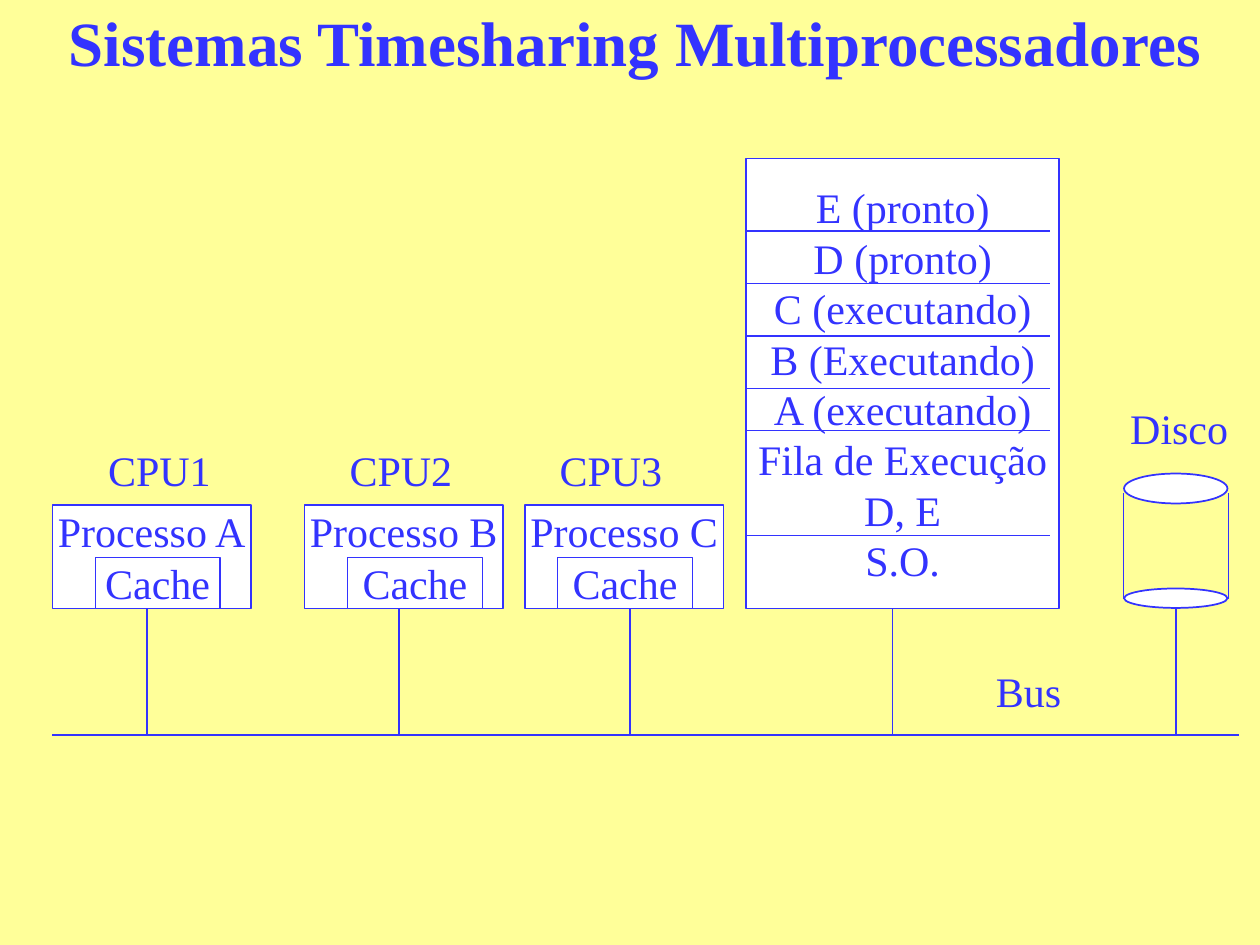
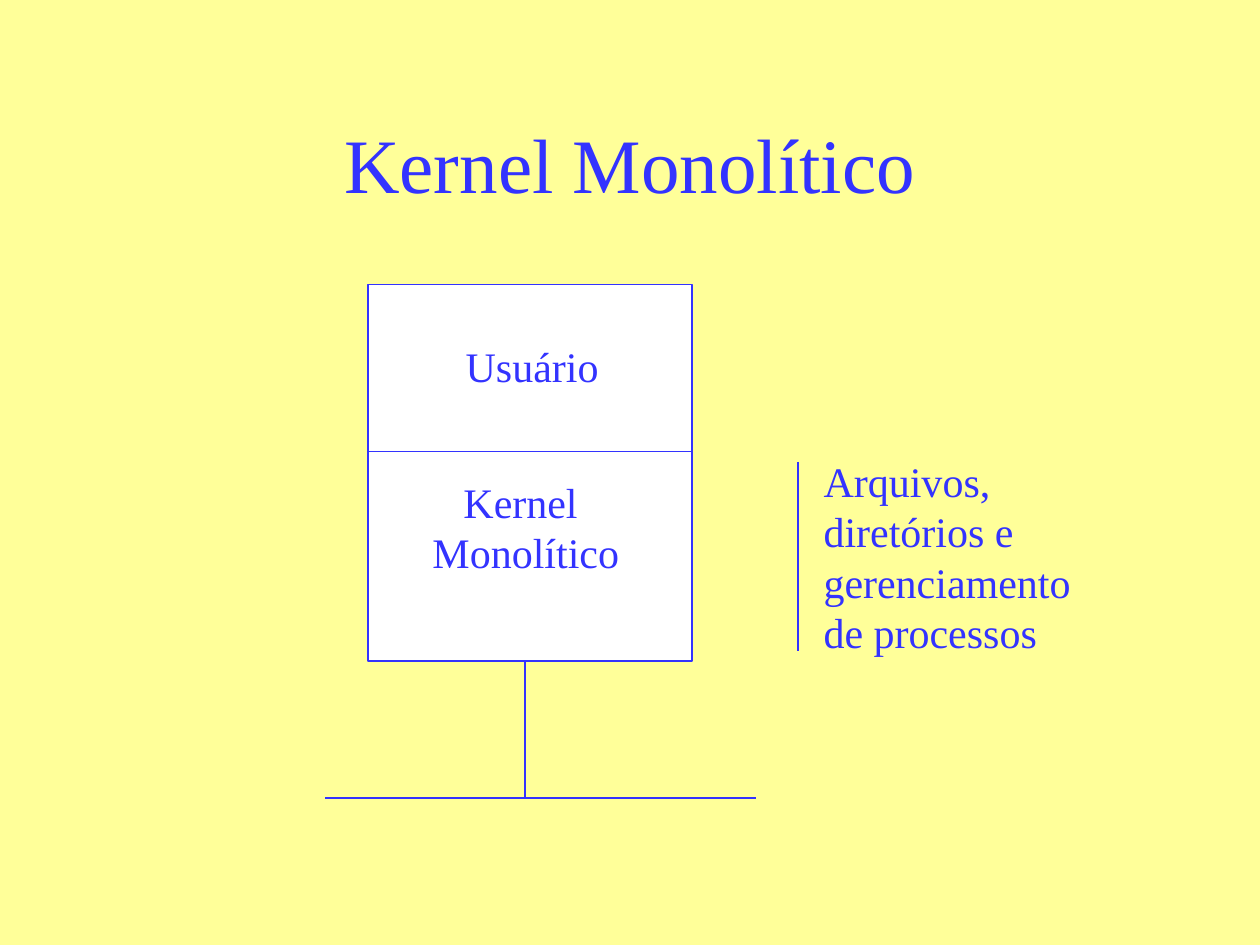
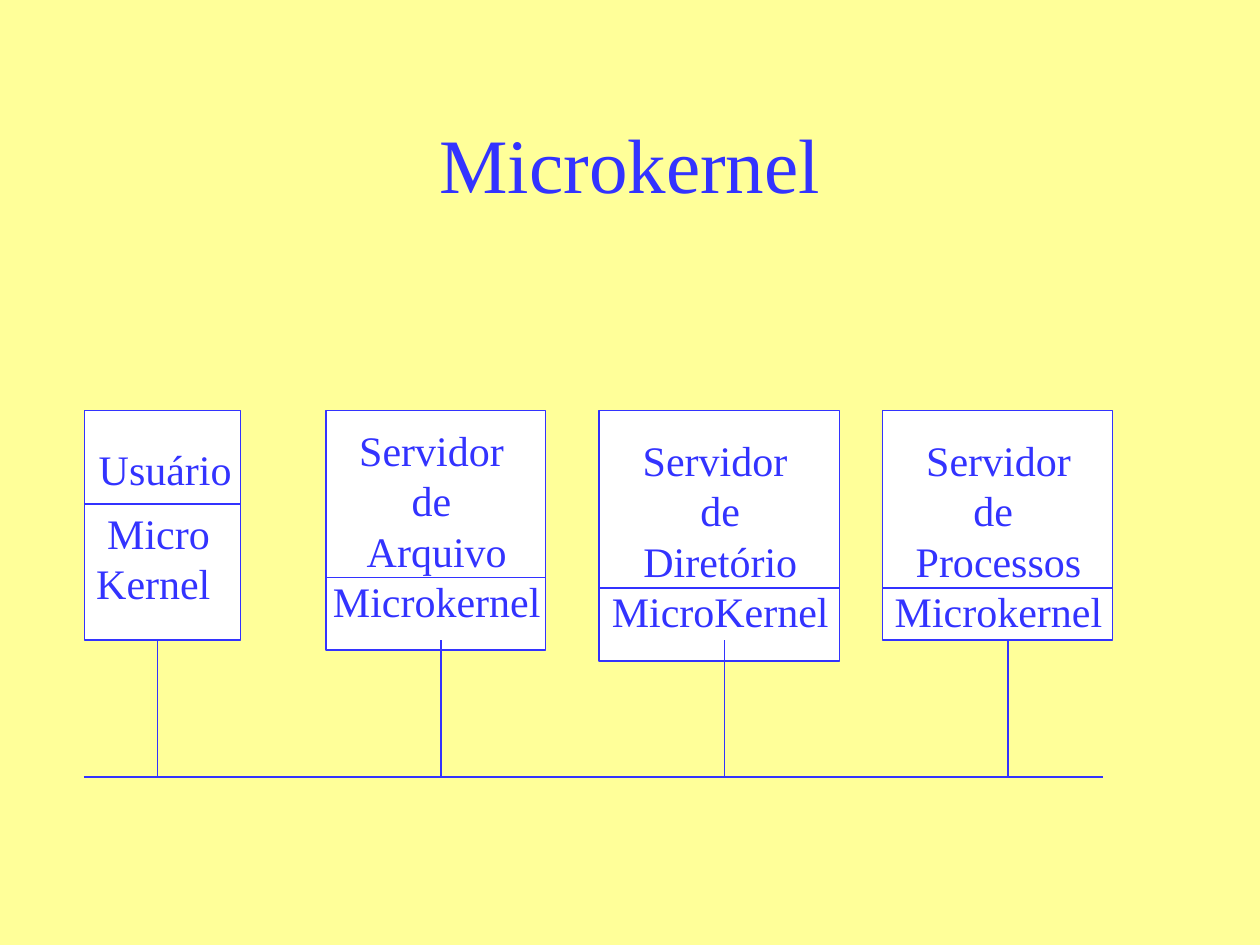
from dataclasses import dataclass

from lxml import etree
from pptx import Presentation
from pptx.dml.color import RGBColor
from pptx.enum.shapes import MSO_CONNECTOR, MSO_SHAPE
from pptx.enum.text import MSO_ANCHOR as ANCHOR, MSO_AUTO_SIZE as FIT, PP_ALIGN as ALIGN
from pptx.oxml.ns import qn
from pptx.util import Inches, Pt


@dataclass(frozen=True)
class Theme:
    paper: RGBColor = RGBColor(0xFF, 0xFF, 0x99)
    panel: RGBColor = RGBColor(0xFF, 0xFF, 0xFF)
    ink: RGBColor = RGBColor(0x33, 0x33, 0xFF)
    font: str = "Times New Roman"
    heading: int = 44
    long_heading: int = 36
    body: int = 24
    stroke: float = 0.99


theme = Theme()
prs = Presentation()
prs.slide_width, prs.slide_height = Inches(10), Inches(7.5)
CELL = prs.slide_width / 120
TITLE = (9, 8, 102, 15)
RECT, OVAL = MSO_SHAPE.RECTANGLE, MSO_SHAPE.OVAL

prs.slide_master.background.fill.solid()
prs.slide_master.background.fill.fore_color.rgb = theme.paper
blank = prs.slide_layouts[6]
timesharing, monolithic, micro = [prs.slides.add_slide(blank) for _ in range(3)]


def block(slide, area, text="", outline=None, size=theme.body, align=ALIGN.CENTER,
          anchor=ANCHOR.TOP, bold=False, wrap=False):
    box = [round(n * CELL) for n in area]
    if outline is None:
        part = slide.shapes.add_textbox(*box)
    else:
        part = slide.shapes.add_shape(outline, *box)
        part.shadow.inherit = False
        part.fill.solid()
        part.fill.fore_color.rgb = theme.panel
        part.line.color.rgb = theme.ink
        part.line.width = Pt(theme.stroke)
    if text:
        frame = part.text_frame
        frame.text = text
        frame.word_wrap = wrap
        frame.vertical_anchor = anchor
        if outline is None and not wrap:
            frame.auto_size = FIT.SHAPE_TO_FIT_TEXT
        for paragraph in frame.paragraphs:
            paragraph.alignment = align
            for run in paragraph.runs:
                run.font.name = theme.font
                run.font.size = Pt(size)
                run.font.bold = bold
                run.font.color.rgb = theme.ink
    return part


def rule(slide, *ends):
    wire = slide.shapes.add_connector(MSO_CONNECTOR.STRAIGHT, *[round(n * CELL) for n in ends])
    wire.line.color.rgb = theme.ink
    wire.line.width = Pt(theme.stroke)
    etree.SubElement(wire._element.spPr, qn("a:effectLst"))


block(timesharing, (5, -0.25, 111, 15), "Sistemas Timesharing Multiprocessadores",
      size=theme.long_heading, bold=True, wrap=True)
cpus = [("A", 5, 9, 9.1, 11.85), ("B", 29, 32, 33.1, 12.85), ("C", 50, 52, 53.1, 12.85)]
for number, (process, left, label_left, cache_left, cache_width) in enumerate(cpus, 1):
    cpu = block(timesharing, (left, 48.1, 18.9, 9.85), f"Processo {process}", RECT)
    cpu.text_frame.margin_top = 0
    block(timesharing, (cache_left, 53.1, cache_width, 4.85), "Cache", RECT, anchor=ANCHOR.MIDDLE)
    block(timesharing, (label_left, 41.75, 12.25, 6), f"CPU{number}", align=ALIGN.RIGHT)

memory = ["E (pronto)", "D (pronto)", "C (executando)", "B (Executando)",
          "A (executando)", "Fila de Execução", "D, E", "S.O."]
block(timesharing, (71.05, 15.1, 29.85, 42.85), "\n".join(memory), RECT, anchor=ANCHOR.MIDDLE)
for row in (22, 27, 32, 37, 41, 51):
    rule(timesharing, 71, row, 100, row)

block(timesharing, (107.05, 45.1, 9.85, 2.85), outline=OVAL)
for side in (107, 117):
    rule(timesharing, side, 47, side, 57)
block(timesharing, (107.05, 56.05, 9.85, 1.85), outline=OVAL)
block(timesharing, (106.4, 37.75, 11.75, 6), "Disco", align=ALIGN.RIGHT)

rule(timesharing, 5, 70, 118, 70)
for drop in (14, 38, 60, 85, 112):
    rule(timesharing, drop, 58, drop, 70)
block(timesharing, (93.6, 62.75, 8.65, 6), "Bus", align=ALIGN.RIGHT)

for slide, heading in ((monolithic, "Kernel Monolítico"), (micro, "Microkernel")):
    block(slide, TITLE, heading, size=theme.heading, anchor=ANCHOR.MIDDLE, wrap=True)

block(monolithic, (35.05, 27.1, 30.85, 35.85), outline=RECT)
block(monolithic, (43.1, 31.8, 15.1, 6), "Usuário", align=ALIGN.RIGHT)
block(monolithic, (40, 44.75, 20.15, 10.8), "Kernel \nMonolítico")
block(monolithic, (77.25, 42.8, 27, 20.4),
      "Arquivos,\ndiretórios e\ngerenciamento \nde processos", align=ALIGN.LEFT)
for ends in ((35, 43, 66, 43), (76, 44, 76, 62), (50, 63, 50, 76), (31, 76, 72, 76)):
    rule(monolithic, *ends)

block(micro, (8.05, 39.1, 14.85, 21.85), outline=RECT)
block(micro, (8.15, 41.65, 15.1, 6), "Usuário", align=ALIGN.RIGHT)
block(micro, (7.95, 47.75, 14.3, 10.8), "Micro\nKernel ")
rule(micro, 8, 48, 23, 48)

servers = [
    ("Servidor \nde \nArquivo\nMicrokernel", 31, 21, 22.8, 29.6, 39.85, 55),
    ("Servidor \nde\nDiretório\nMicroKernel", 57, 23, 23.85, 56.6, 40.8, 56),
    ("Servidor\nde \nProcessos\nMicrokernel", 84, 22, 21.85, 83.1, 40.8, 56),
]
for text, left, width, height, text_left, text_top, divider in servers:
    block(micro, (left + 0.05, 39.1, width - 0.1, height), outline=RECT)
    block(micro, (text_left, text_top, 24, 20.4), text)
    rule(micro, left, divider, left + width, divider)

for drop in range(15, 97, 27):
    rule(micro, drop, 61, drop, 74)
rule(micro, 8, 74, 105, 74)

prs.save("out.pptx")
